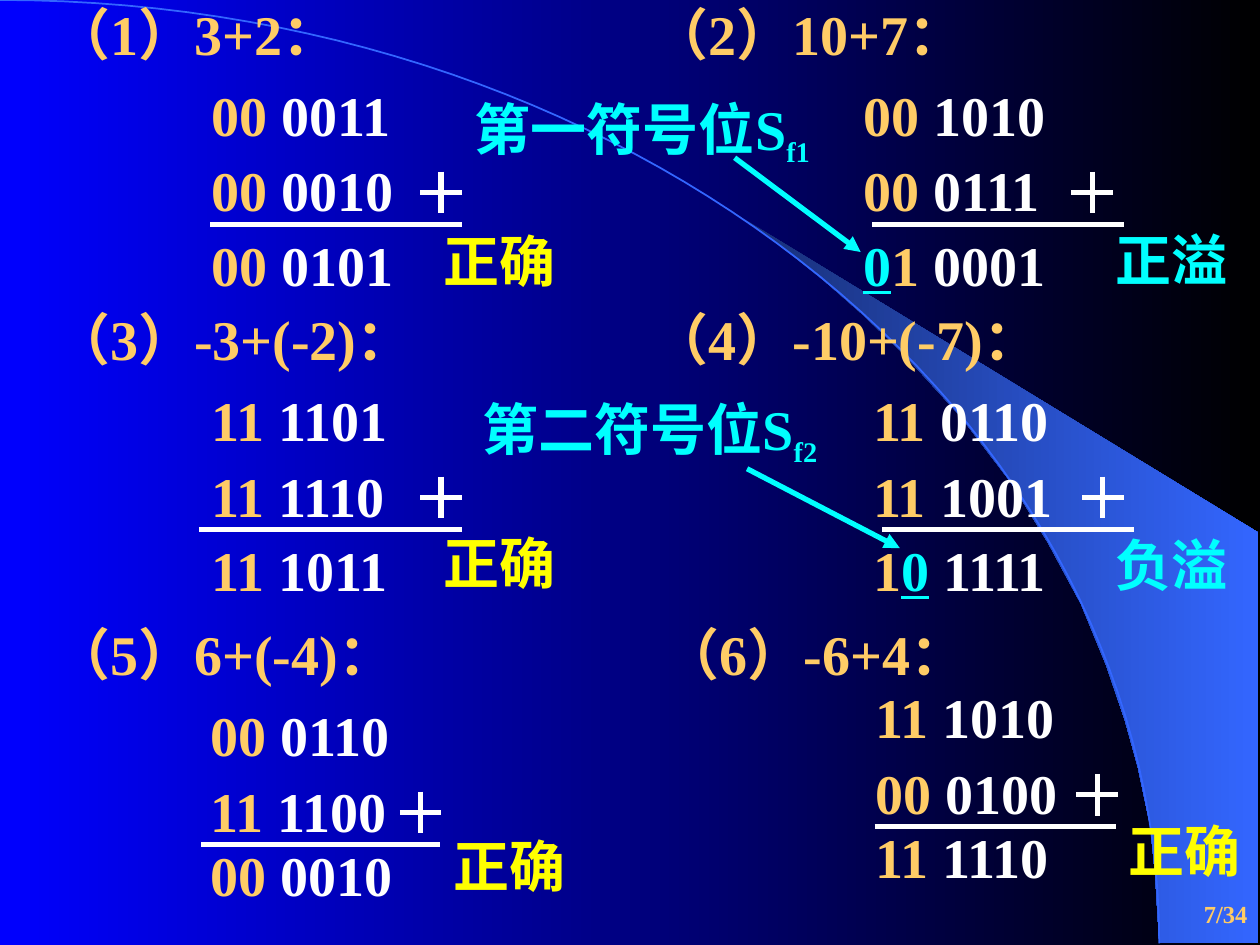
from dataclasses import dataclass

import pptx
import pptx.dml.color
import pptx.enum.dml
import pptx.enum.shapes
import pptx.enum.text
import pptx.oxml
import pptx.oxml.ns
import pptx.util
from pptx.util import Cm

GOLD, WHITE, CYAN, YELLOW = "FFCC66", "FFFFFF", "00FFFF", "FFFF00"
BLUE, BLACK, NAVY, ROYAL = "0000FF", "000000", "182F76", "3366FF"
FONT = "Times New Roman"
PLUS_ARM = 0.42
PLUS_DROP = 1.9
BAR_DROP = 2.54


@dataclass
class Sum:
    """One worked addition; lengths are in centimetres."""
    title: str
    title_box: tuple        # left, top, width
    operands: tuple         # (sign bits, value bits) pairs
    operands_box: tuple     # left, top, width
    result: tuple           # (sign bits, value bits)
    result_width: float
    plus_x: float
    bar: tuple              # left end, right end
    verdict: str
    verdict_at: tuple
    verdict_color: str = YELLOW
    marked_bit: int = -1    # sign bit that shows the overflow
    result_drop: float = 2.54


SUMS = [
    Sum("（1）3+2：", (0.84, -0.13, 8.05), (("00", "0011"), ("00", "0010")),
        (4.01, 1.98, 5.08), ("00", "0101"), 4.88, 8.89, (4.24, 9.32),
        "正确", (8.69, 4.45)),
    Sum("（2）10+7：", (12.9, -0.13, 9.78), (("00", "1010"), ("00", "0111")),
        (17.15, 1.98, 5.08), ("01", "0001"), 4.88, 22.02, (17.58, 22.66),
        "正溢", (22.23, 4.42), CYAN, marked_bit=0),
    Sum("（3）-3+(-2)：", (0.84, 6.02, 9.86), (("11", "1101"), ("11", "1110")),
        (4.01, 8.13, 4.47), ("11", "1011"), 4.88, 8.89, (4.01, 9.32),
        "正确", (8.69, 10.52)),
    Sum("（4）-10+(-7)：", (12.9, 6.02, 10.36), (("11", "0110"), ("11", "1001")),
        (17.35, 8.13, 4.65), ("10", "1111"), 4.88, 22.23, (17.78, 22.86),
        "负溢", (22.23, 10.57), CYAN, marked_bit=1),
    Sum("（5）6+(-4)：", (0.84, 12.37, 10.64), (("00", "0110"), ("11", "1100")),
        (3.99, 14.48, 4.27), ("00", "0010"), 4.27, 8.48, (4.06, 8.86),
        "正确", (8.89, 16.64), result_drop=2.34),
    Sum("（6）-6+4：", (13.13, 12.37, 9.09), (("11", "1010"), ("00", "0100")),
        (17.4, 14.12, 4.29), ("11", "1110"), 4.5, 22.12, (17.63, 22.5),
        "正确", (22.5, 16.33), result_drop=2.34),
]

# label, subscript, box (left, top, width), arrow start, arrow end
SIGN_BIT_LABELS = [
    ("第一符号位S", "f1", (9.32, 1.78, 7.8), (14.81, 3.18), (17.35, 5.08)),
    ("第二符号位S", "f2", (9.47, 7.82, 7.62), (15.06, 9.45), (18.14, 11.05)),
]

ARC = ((0, 0), (12.9, 0), (23.37, 8.51), (23.37, 19.02))
BEAM = [(23.37, 19), (25.37, 19.02), (25.37, 10.74), (14.96, 4.39),
        (15.85, 5.05), (16.59, 5.64), (17.4, 6.35), (18.19, 7.11),
        (19.35, 8.38), (20.4, 9.75), (21.13, 10.95), (21.79, 12.17),
        (22.3, 13.41), (22.68, 14.53), (22.94, 15.47), (23.19, 16.66),
        (23.29, 17.68)]


def rgb(code):
    return pptx.dml.color.RGBColor.from_string(code)


def paint_gradient(fill, start, end):
    fill.gradient()
    fill.gradient_angle = 0
    for stop, position, code in zip(fill.gradient_stops, (0, 1), (start, end)):
        stop.position = position
        stop.color.rgb = rgb(code)


def add_outline(slide, points, closed):
    corners = [(Cm(x), Cm(y)) for x, y in points]
    builder = slide.shapes.build_freeform(*corners[0])
    builder.add_line_segments(corners[1:], close=closed)
    outline = builder.convert_to_shape()
    outline.shadow.inherit = False
    return outline


def curve_points(controls, steps=60):
    """Points along a cubic Bezier curve."""
    for step in range(steps + 1):
        t = step / steps
        weights = ((1 - t) ** 3, 3 * t * (1 - t) ** 2, 3 * t * t * (1 - t), t ** 3)
        yield tuple(sum(w * c[axis] for w, c in zip(weights, controls))
                    for axis in (0, 1))


def add_backdrop(slide):
    paint_gradient(slide.background.fill, BLUE, BLACK)
    beam = add_outline(slide, BEAM, closed=True)
    paint_gradient(beam.fill, NAVY, ROYAL)
    beam.line.fill.background()
    arc = add_outline(slide, curve_points(ARC), closed=False)
    arc.fill.background()
    arc.line.color.rgb = rgb(ROYAL)
    arc.line.width = pptx.util.Pt(1)


def add_line(slide, start, end, color=WHITE, arrow=False):
    line = slide.shapes.add_connector(
        pptx.enum.shapes.MSO_CONNECTOR.STRAIGHT,
        *(Cm(length) for length in (*start, *end)))
    line.line.color.rgb = rgb(color)
    line.line.width = pptx.util.Pt(3)
    if arrow:
        head = pptx.oxml.parse_xml(
            f'<a:tailEnd {pptx.oxml.ns.nsdecls("a")} type="triangle"/>')
        line.line._get_or_add_ln().append(head)
    line._element.spPr.append(
        pptx.oxml.parse_xml(f'<a:effectLst {pptx.oxml.ns.nsdecls("a")}/>'))


def add_text(slide, paragraphs, box, height=1.63, size=32, before=20,
             spacing=None, align=None, anchor=None, grow=True):
    """Each paragraph is a list of (text, colour, extra format) runs."""
    text_box = slide.shapes.add_textbox(*(Cm(length) for length in (*box, height)))
    frame = text_box.text_frame
    frame.word_wrap = True
    if grow:
        frame.auto_size = pptx.enum.text.MSO_AUTO_SIZE.SHAPE_TO_FIT_TEXT
    if anchor is not None:
        frame.vertical_anchor = anchor
    for index, runs in enumerate(paragraphs):
        paragraph = frame.add_paragraph() if index else frame.paragraphs[0]
        paragraph.space_before = pptx.util.Pt(before)
        paragraph.line_spacing = spacing
        paragraph.alignment = align
        for text, color, extra in runs:
            run = paragraph.add_run()
            run.text = text
            run.font.name = FONT
            run.font.bold = True
            run.font.size = pptx.util.Pt(extra.get("size", size))
            run.font.color.rgb = rgb(color)
            if extra.get("underline"):
                run.font.underline = True
            if extra.get("subscript"):
                run.font._element.set("baseline", "-25000")


def number_runs(sign, value, marked=-1):
    if marked < 0:
        runs = [(sign, GOLD, {})]
    else:
        runs = [(bit, CYAN, {"underline": True}) if place == marked
                else (bit, GOLD, {}) for place, bit in enumerate(sign)]
    return runs + [(" " + value, WHITE, {})]


def add_sum(slide, item):
    left, top, _ = item.operands_box
    add_text(slide, [[(item.title, GOLD, {})]], item.title_box)
    add_text(slide, [number_runs(*operand) for operand in item.operands],
             item.operands_box, height=2.59, spacing=0.6)
    add_text(slide, [number_runs(*item.result, item.marked_bit)],
             (left, top + item.result_drop, item.result_width), height=2.97)

    x, y = item.plus_x, top + PLUS_DROP
    add_line(slide, (x - PLUS_ARM, y), (x + PLUS_ARM, y))
    add_line(slide, (x, y - PLUS_ARM), (x, y + PLUS_ARM))
    bar_y = top + BAR_DROP
    add_line(slide, (item.bar[0], bar_y), (item.bar[1], bar_y))
    add_text(slide, [[(item.verdict, item.verdict_color, {})]],
             (*item.verdict_at, 3.18))


def main():
    presentation = pptx.Presentation()
    presentation.slide_width, presentation.slide_height = Cm(25.4), Cm(19.05)
    slide = presentation.slides.add_slide(presentation.slide_layouts[6])

    add_backdrop(slide)
    add_text(slide, [[("7/34", GOLD, {})]], (20.12, 17.78, 5.28), height=1.27,
             size=14, before=0, align=pptx.enum.text.PP_ALIGN.RIGHT,
             anchor=pptx.enum.text.MSO_ANCHOR.MIDDLE, grow=False)
    for item in SUMS:
        add_sum(slide, item)
    for label, subscript, box, start, end in SIGN_BIT_LABELS:
        add_line(slide, start, end, color=CYAN, arrow=True)
        add_text(slide, [[(label, CYAN, {}),
                          (subscript, CYAN, {"size": 28, "subscript": True})]],
                 box, height=1.75, before=17.5)
    presentation.save("out.pptx")


if __name__ == "__main__":
    main()
